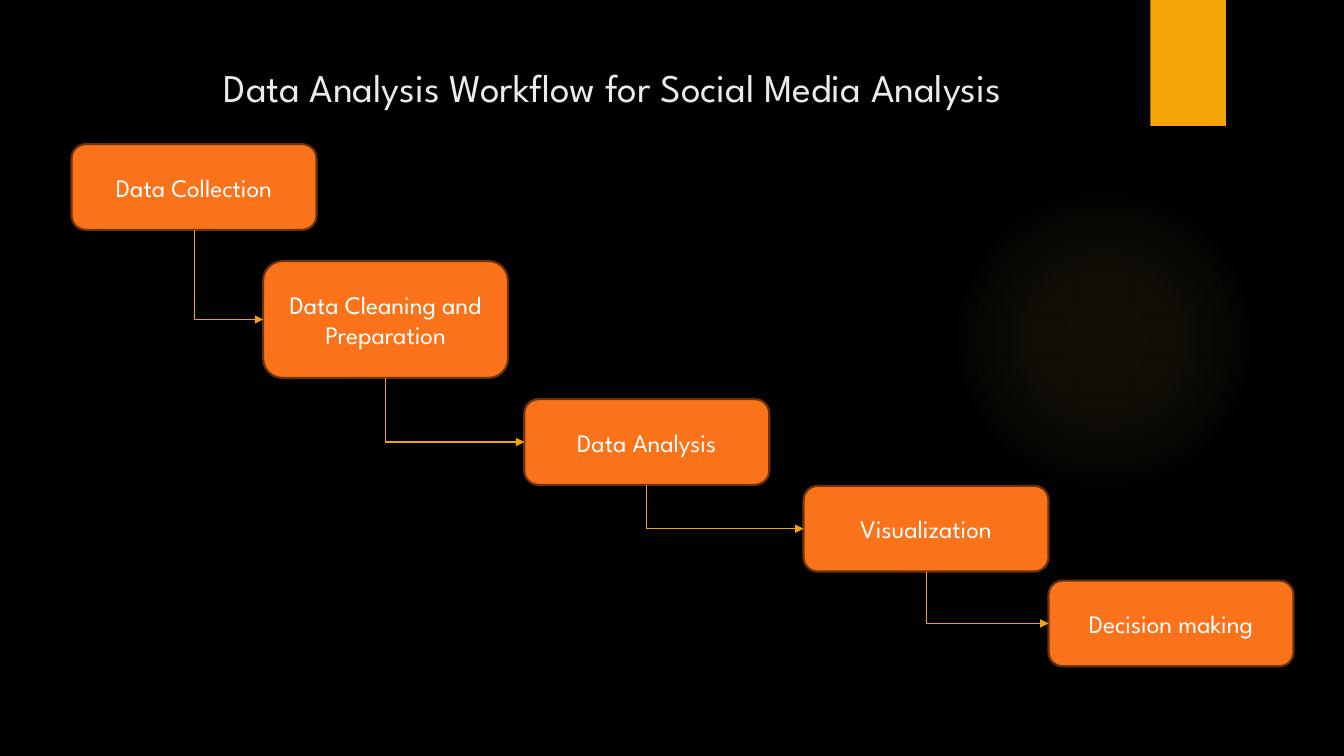
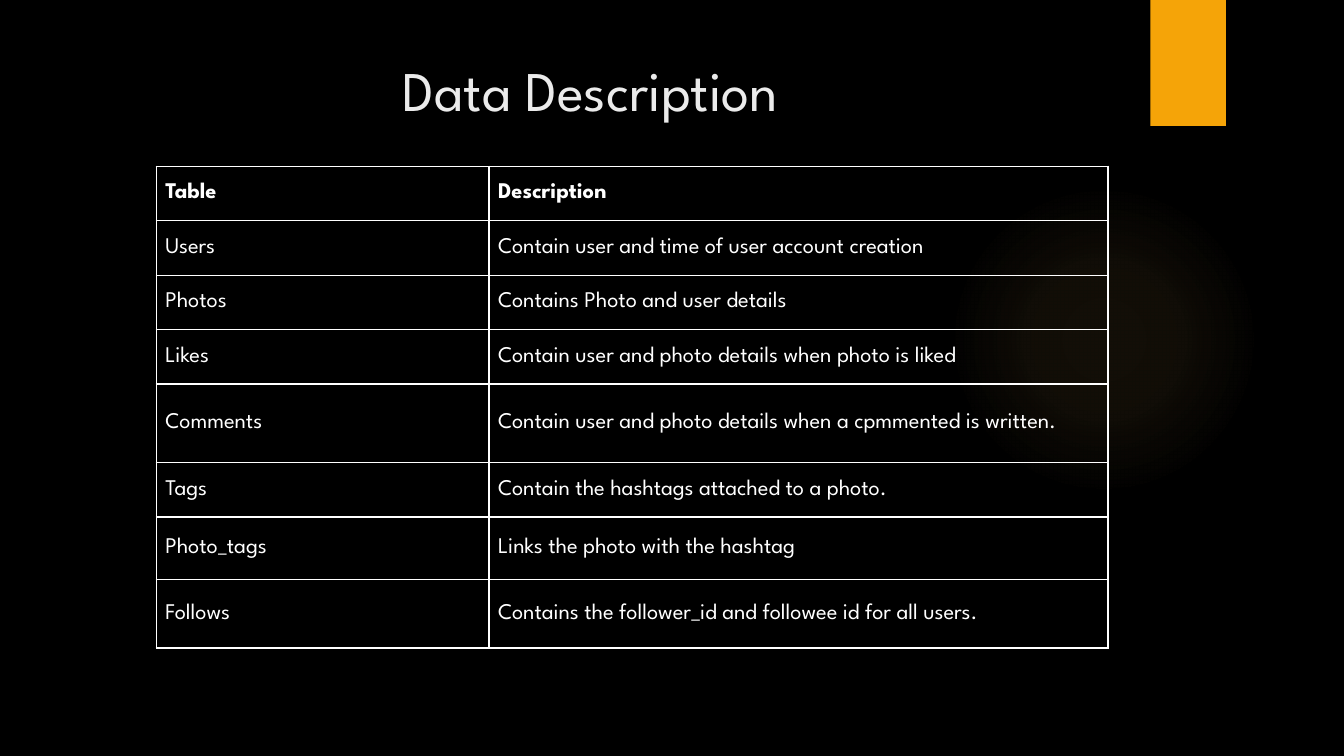
from pptx import Presentation
from pptx.dml.color import RGBColor
from pptx.enum import shapes, text
from pptx.oxml import parse_xml
from pptx.oxml.ns import nsdecls
from pptx.util import Pt

PX = 9144  # 100 px to the inch
FONT = "League Spartan"
BLACK, WHITE, TITLE = "000000", "FFFFFF", "EBEBEB"
AMBER, GLOW, ORANGE, BROWN = "F5A408", "FAC96A", "FA731A", "6E320B"


def color(value):
    return RGBColor.from_string(value)


def style(para, size, value, bold=False):
    para.font.name = FONT
    para.font.size = Pt(size)
    para.font.bold = bold
    para.font.color.rgb = color(value)


deck = Presentation()
deck.slide_width, deck.slide_height = 1333 * PX, 750 * PX

# Shared look: black background, glow, amber tab and title
fill = deck.slide_master.background.fill
fill.solid()
fill.fore_color.rgb = color(BLACK)

stops = "".join(
    f'<a:gs pos="{place * 1000}"><a:srgbClr val="{GLOW}">'
    f'<a:alpha val="{alpha * 1000}"/></a:srgbClr></a:gs>'
    for place, alpha in [(0, 7), (36, 6), (69, 0)]
)
glow_fill = (
    f'<a:gradFill {nsdecls("a")}><a:gsLst>{stops}</a:gsLst><a:path path="circle">'
    '<a:fillToRect l="50000" t="50000" r="50000" b="50000"/></a:path></a:gradFill>'
)

titles = [
    ("Data Analysis Workflow for Social Media Analysis", 93, 58, 28),
    ("Data Description", 71, 50, 40),
]
pages = []
for words, left, top, size in titles:
    page = deck.slides.add_slide(deck.slide_layouts[6])
    pages.append(page)

    glow = page.shapes.add_shape(
        shapes.MSO_SHAPE.OVAL, 941 * PX, 183 * PX, 308 * PX, 308 * PX)
    glow.line.fill.background()
    glow.shadow.inherit = False
    glow._element.spPr.insert(2, parse_xml(glow_fill))

    tab = page.shapes.add_shape(
        shapes.MSO_SHAPE.RECTANGLE, 1141 * PX, 0, 75 * PX, 125 * PX)
    tab.fill.solid()
    tab.fill.fore_color.rgb = color(AMBER)
    tab.line.fill.background()
    tab.shadow.inherit = False

    title = page.shapes.add_textbox(left * PX, top * PX, 1029 * PX, 77 * PX)
    title.text_frame.word_wrap = True
    para = title.text_frame.paragraphs[0]
    para.text = words
    para.alignment = text.PP_ALIGN.CENTER
    style(para, size, TITLE)

workflow, description = pages

# Workflow steps
steps = [
    ("Data Collection", 71, 143, 85),
    ("Data Cleaning and Preparation", 261, 259, 116),
    ("Data Analysis", 520, 396, 85),
    ("Visualization", 797, 482, 85),
    ("Decision making", 1040, 576, 85),
]
boxes = []
for words, left, top, height in steps:
    box = workflow.shapes.add_shape(
        shapes.MSO_SHAPE.ROUNDED_RECTANGLE, left * PX, top * PX, 243 * PX, height * PX)
    box.fill.solid()
    box.fill.fore_color.rgb = color(ORANGE)
    box.line.color.rgb = color(BROWN)
    box.line.width = Pt(1.5)
    box.shadow.inherit = False
    box.text_frame.word_wrap = True
    box.text_frame.vertical_anchor = text.MSO_ANCHOR.MIDDLE
    para = box.text_frame.paragraphs[0]
    para.text = words
    para.alignment = text.PP_ALIGN.CENTER
    style(para, 18, WHITE)
    boxes.append(box)

# Arrows: down from the bottom of one step, then right into the next
for box, following in zip(boxes, boxes[1:]):
    arrow = workflow.shapes.add_connector(shapes.MSO_CONNECTOR.ELBOW, 0, 0, 0, 0)
    arrow.begin_connect(box, 2)
    arrow.end_connect(following, 1)
    start_x, start_y = box.left + box.width // 2, box.top + box.height
    end_x, end_y = following.left, following.top + following.height // 2
    across, down = end_x - start_x, end_y - start_y
    # A quarter turn swaps width and height around the same centre
    arrow.left = (start_x + end_x - down) // 2
    arrow.top = (start_y + end_y - across) // 2
    arrow.width, arrow.height = down, across
    properties = arrow._element.spPr
    properties.xfrm.set("rot", "16200000")
    properties.xfrm.set("flipH", "1")
    properties.prstGeom.set("prst", "bentConnector2")
    arrow.line.color.rgb = color(AMBER)
    arrow.line.width = Pt(0.75)
    properties.find(".//{*}ln").append(
        parse_xml(f'<a:tailEnd {nsdecls("a")} type="triangle"/>'))
    properties.append(parse_xml(f'<a:effectLst {nsdecls("a")}/>'))

# Table of data sets
rows = [
    ("Table", "Description", 54),
    ("Users", "Contain user and time of user account creation", 54),
    ("Photos", "Contains Photo and user details", 54),
    ("Likes", "Contain user and photo details when photo is liked", 54),
    ("Comments", "Contain user and photo details when a cpmmented is written.", 78),
    ("Tags", "Contain the hashtags attached to a photo.", 54),
    ("Photo_tags", "Links the photo with the hashtag", 62),
    ("Follows", "Contains the follower_id and followee id for all users.", 68),
]
height = sum(row[-1] for row in rows)
table = description.shapes.add_table(
    len(rows), 2, 155 * PX, 165 * PX, 944 * PX, height * PX).table
table.horz_banding = False
for column, width in zip(table.columns, (330, 614)):
    column.width = width * PX
for r, (*entries, height) in enumerate(rows):
    table.rows[r].height = height * PX
    for c, words in enumerate(entries):
        cell = table.cell(r, c)
        cell.fill.background()
        cell.vertical_anchor = text.MSO_ANCHOR.MIDDLE
        cell.margin_left = cell.margin_right = 9 * PX
        cell.margin_top = cell.margin_bottom = 4 * PX
        para = cell.text_frame.paragraphs[0]
        para.text = words
        style(para, 16, WHITE, bold=r == 0)
        for place, side in enumerate("LRTB"):
            cell._tc.tcPr.insert(place, parse_xml(
                f'<a:ln{side} {nsdecls("a")} w="12700"><a:solidFill>'
                f'<a:srgbClr val="{WHITE}"/></a:solidFill></a:ln{side}>'))

deck.save("out.pptx")
